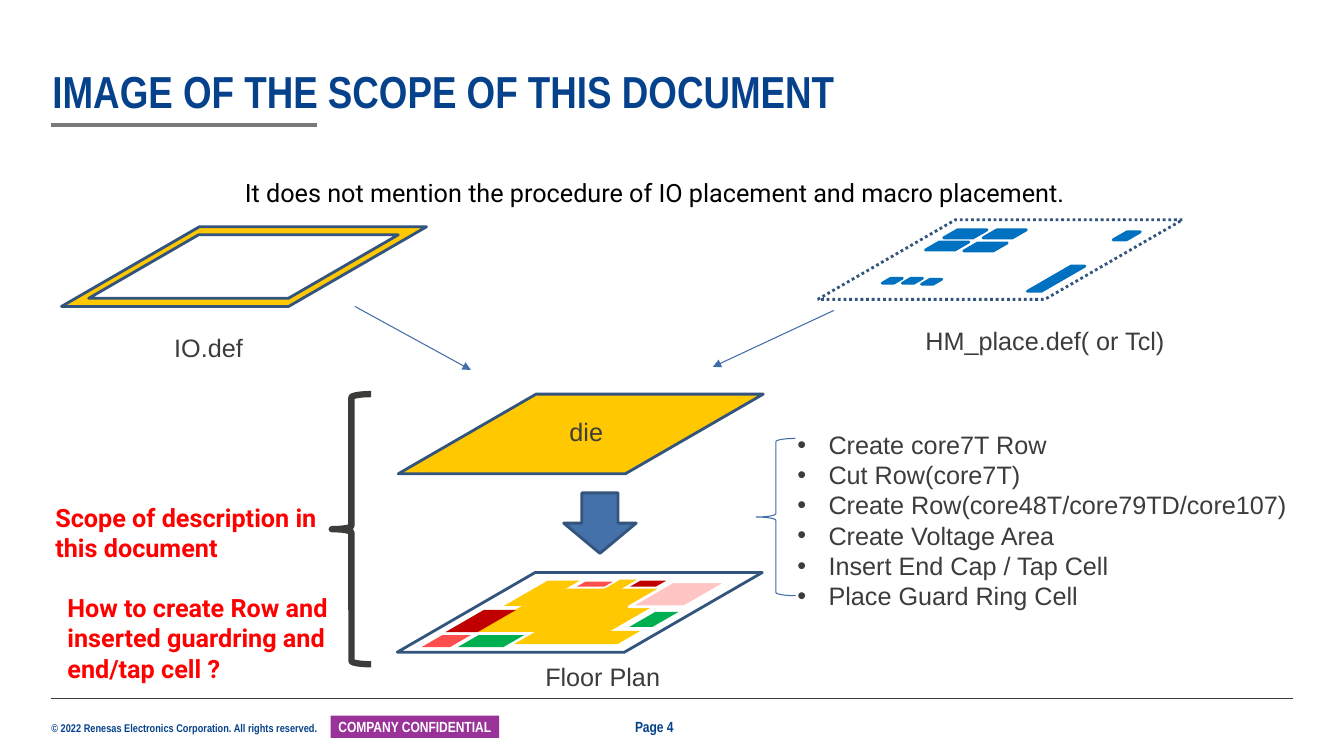
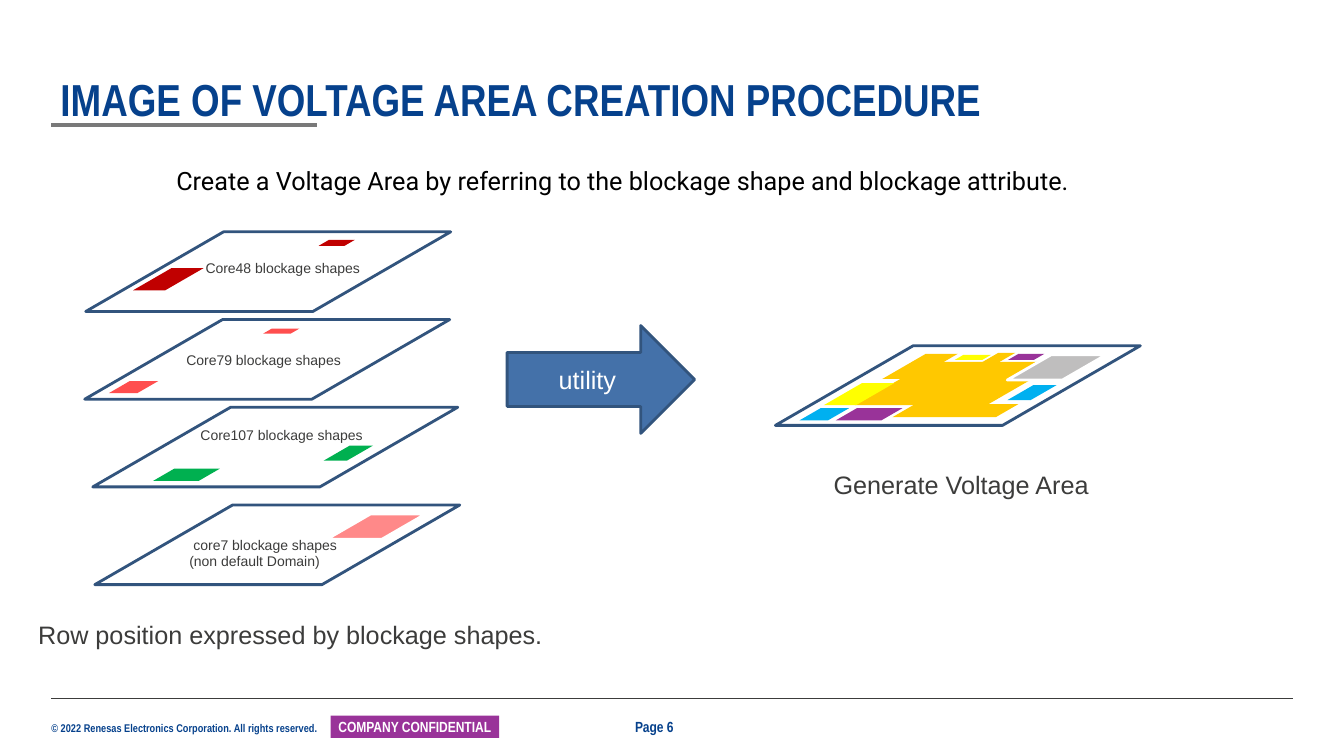
from lxml.etree import SubElement
from pptx import Presentation
from pptx.dml.color import RGBColor
from pptx.enum.dml import MSO_LINE
from pptx.enum.shapes import MSO_CONNECTOR, MSO_SHAPE as SHAPE
from pptx.enum.text import MSO_ANCHOR as ANCHOR, PP_ALIGN as ALIGN
from pptx.oxml.ns import qn
from pptx.util import Inches, Pt

NAVY, TEXT, PURPLE, WHITE = "06418C", "3C3C3B", "993399", "FFFFFF"
OUTLINE, ARROW_FILL, THIN_BLUE = "32547D", "4471A9", "406EA8"
GOLD, MACRO_BLUE, RED = "FFC800", "0070C0", "FF0000"
DARK_RED, CORAL, GREEN, PINK, ROSE = "C00000", "FF4E4E", "00B050", "FFC4C4", "FF8989"
YELLOW, CYAN, GREY = "FFFF00", "00B0F0", "BFBEBE"
BODY, NARROW, ROBOTO = "Arial", "Arial Narrow", "Roboto"
SLANT = 1.73
DIE_SIZE = (3.62, 0.79)


def rgb(value):
    return RGBColor.from_string(value)


class Deck:
    """Holds the shared style and the current slide."""

    def __init__(self):
        self.presentation = Presentation()
        self.presentation.slide_width = Inches(13.33)
        self.presentation.slide_height = Inches(7.5)
        self.slide = None

    def new_slide(self, page):
        self.slide = self.presentation.slides.add_slide(
            self.presentation.slide_layouts[6])
        # Footer and title rule
        self.text(["© 2022 Renesas Electronics Corporation. All rights reserved."],
                  0.51, 7.16, 2.85, 0.13, 8, NARROW, NAVY, bold=True, margin=0)
        self.line((0.51, 6.93), (12.82, 6.93), TEXT, 0.5)
        label = self.shape(SHAPE.RECTANGLE, 3.28, 7.1, 1.67, 0.22, PURPLE)
        self.set_text(label, ["COMPANY CONFIDENTIAL"], 10.5, NARROW, WHITE, bold=True,
                      align=ALIGN.CENTER, anchor=ANCHOR.MIDDLE, margin=0)
        self.line((0.51, 1.24), (3.14, 1.24), "797979", 3)
        self.text([f"Page {page}"], 6.2, 7.07, 0.8, 0.28, 10.5, NARROW, NAVY, bold=True)

    def title(self, words, left, top):
        frame = self.text([words], left, top, 12.3, 0.48, 32, NARROW, NAVY,
                          bold=True, anchor=ANCHOR.BOTTOM, margin=0)
        frame.paragraphs[0].line_spacing = 0.9

    def set_text(self, shape, lines, size, font, color, bold=False, align=ALIGN.LEFT,
                 anchor=ANCHOR.TOP, margin=None, bullet=False):
        frame = shape.text_frame
        frame.word_wrap = True
        frame.vertical_anchor = anchor
        if margin is not None:
            frame.margin_left = frame.margin_right = Inches(margin)
            frame.margin_top = frame.margin_bottom = Inches(margin)
        for index, words in enumerate(lines):
            paragraph = frame.paragraphs[0] if index == 0 else frame.add_paragraph()
            paragraph.text = words
            paragraph.alignment = align
            if bullet:
                self.indent(paragraph, 0.31, -0.31)
                SubElement(paragraph._p.pPr, qn("a:buFont"), typeface=BODY)
                SubElement(paragraph._p.pPr, qn("a:buChar"), char="•")
            paragraph.font.size = Pt(size)
            paragraph.font.name = font
            paragraph.font.bold = bold
            paragraph.font.color.rgb = rgb(color)
        return frame

    def text(self, lines, left, top, width, height, size=18, font=BODY, color=TEXT,
             **style):
        box = self.slide.shapes.add_textbox(
            Inches(left), Inches(top), Inches(width), Inches(height))
        return self.set_text(box, lines, size, font, color, **style)

    def indent(self, paragraph, left, first=0):
        properties = paragraph._p.get_or_add_pPr()
        properties.set("marL", str(Inches(left)))
        properties.set("indent", str(Inches(first)))

    def shape(self, kind, left, top, width, height, fill=None, line=None, weight=2):
        shape = self.slide.shapes.add_shape(
            kind, Inches(left), Inches(top), Inches(width), Inches(height))
        shape.shadow.inherit = False
        if fill:
            shape.fill.solid()
            shape.fill.fore_color.rgb = rgb(fill)
        else:
            shape.fill.background()
        if line:
            shape.line.color.rgb = rgb(line)
            shape.line.width = Pt(weight)
        else:
            shape.line.fill.background()
        return shape

    def sheet(self, left, top, width, height, fill=None, line=None):
        shape = self.shape(SHAPE.PARALLELOGRAM, left, top, width, height, fill, line)
        shape.adjustments[0] = SLANT
        return shape

    def die(self, left, top, fill=None):
        return self.sheet(left, top, *DIE_SIZE, fill, OUTLINE)

    def line(self, start, end, color, weight, arrow=False):
        connector = self.slide.shapes.add_connector(
            MSO_CONNECTOR.STRAIGHT, *(Inches(value) for value in start + end))
        connector.line.color.rgb = rgb(color)
        connector.line.width = Pt(weight)
        if arrow:
            SubElement(connector.line._get_or_add_ln(), qn("a:tailEnd"), type="triangle")
        SubElement(connector._element.spPr, qn("a:effectLst"))

    def floor_plan(self, left, top, default_area, areas):
        """Draw the die with its gold core and the coloured voltage areas."""
        self.die(left, top)
        parts = [
            (0.79, 0.16, 2.05, 0.43, GOLD, None),
            (1.06, 0.08, 0.75, 0.25, GOLD, None),
            (1.16, 0.58, 1.25, 0.13, GOLD, None),
            (2.3, 0.09, 0.98, 0.25, default_area, WHITE),
            (1.78, 0.07, 0.6, 0.25, GOLD, None),
        ]
        places = [(0.48, 0.37, 0.7, 0.22), (2.31, 0.08, 0.36, 0.06),
                  (1.78, 0.09, 0.36, 0.05), (0.24, 0.62, 0.49, 0.12),
                  (0.6, 0.62, 0.66, 0.12), (2.3, 0.39, 0.49, 0.15)]
        parts += [(*place, fill, None) for place, fill in zip(places, areas)]
        for x, y, width, height, fill, line in parts:
            self.sheet(left + x, top + y, width, height, fill, line)


def scope_slide(deck):
    deck.new_slide(4)
    deck.title("IMAGE OF THE SCOPE OF THIS DOCUMENT", 0.52, 0.69)
    deck.text(["It does not mention the procedure of IO placement and macro placement."],
              2.33, 1.71, 8.6, 0.4, font=ROBOTO, color="000000")

    # Inputs: IO ring and macro placement
    deck.die(0.61, 2.25, GOLD)
    deck.sheet(0.88, 2.33, 3.07, 0.63, WHITE, OUTLINE)
    deck.text(["IO.def"], 1.63, 3.25, 1, 0.4)
    macros = [
        (9.18, 2.4, 0.43, 0.08), (9.36, 2.28, 0.43, 0.08), (9.56, 2.41, 0.43, 0.08),
        (9.75, 2.28, 0.43, 0.08), (10.19, 2.64, 0.57, 0.25), (11.04, 2.3, 0.27, 0.08),
        (8.75, 2.76, 0.2, 0.05), (8.95, 2.76, 0.2, 0.05), (9.14, 2.77, 0.2, 0.05),
    ]
    for macro in macros:
        deck.sheet(*macro, MACRO_BLUE, MACRO_BLUE)
    deck.die(8.11, 2.18).line.dash_style = MSO_LINE.ROUND_DOT
    deck.text(["HM_place.def( or Tcl)"], 9.08, 3.18, 2.75, 0.4)
    deck.line((3.52, 3.04), (4.67, 3.67), THIN_BLUE, 0.75, arrow=True)
    deck.line((8.27, 3.08), (7.07, 3.64), THIN_BLUE, 0.75, arrow=True)

    # Die turned into a floor plan
    deck.die(3.95, 3.91, GOLD)
    deck.text(["die"], 5.55, 4.08, 0.7, 0.4)
    deck.shape(SHAPE.DOWN_ARROW, 5.59, 4.89, 0.72, 0.6, ARROW_FILL, OUTLINE)
    deck.floor_plan(3.94, 5.68, PINK,
                    [DARK_RED, DARK_RED, CORAL, CORAL, GREEN, GREEN])
    deck.text(["Floor Plan"], 5.31, 6.51, 1.5, 0.4)

    # Scope and its steps
    deck.shape(SHAPE.LEFT_BRACE, 3.29, 3.91, 0.39, 2.68, line=TEXT, weight=4.5)
    scope = deck.text(
        ["Scope of description in", "this document", "How to create Row and",
         "inserted guardring and", "end/tap cell ?"],
        0.45, 4.93, 3.01, 1.92, font=ROBOTO, color=RED, bold=True)
    for paragraph in scope.paragraphs[2:]:
        deck.indent(paragraph, 0.12)
    scope.paragraphs[2].space_before = Pt(21.5)
    deck.shape(SHAPE.LEFT_BRACE, 7.5, 4.35, 0.39, 1.56, line=THIN_BLUE, weight=0.75)
    deck.text(["Create core7T Row", "Cut Row(core7T)",
               "Create Row(core48T/core79TD/core107)", "Create Voltage Area",
               "Insert End Cap / Tap Cell", "Place Guard Ring Cell"],
              7.81, 4.21, 5.3, 1.92, bullet=True)


def voltage_area_slide(deck):
    deck.new_slide(6)
    deck.title("IMAGE OF VOLTAGE AREA CREATION PROCEDURE", 0.6, 0.77)
    deck.text(["Create a Voltage Area by referring to the blockage shape "
               "and blockage attribute."],
              1.65, 1.59, 9.92, 0.4, font=ROBOTO, color="000000")

    # Blockage layers: die position, then blockages
    layers = [
        (0.85, 2.3, DARK_RED, [(1.32, 2.66, 0.7, 0.22), (3.16, 2.38, 0.36, 0.06)]),
        (0.84, 3.17, CORAL, [(2.61, 3.26, 0.36, 0.05), (1.08, 3.78, 0.49, 0.12)]),
        (0.92, 4.04, GREEN, [(1.52, 4.65, 0.66, 0.12), (3.21, 4.42, 0.49, 0.15)]),
        (0.94, 5.01, ROSE, [(3.24, 5.1, 0.98, 0.25)]),
    ]
    for left, top, fill, blockages in layers:
        deck.die(left, top)
        for blockage in blockages:
            deck.sheet(*blockage, fill, WHITE if fill == ROSE else None)
    for core, left, top in [("Core48", 1.94, 2.53), ("Core79", 1.75, 3.44),
                            ("Core107", 1.89, 4.18)]:
        deck.text([f"{core} blockage shapes"], left, top, 1.9, 0.27, 10)
    default_label = deck.text(["core7 blockage shapes", "(non default Domain)"],
                              1.78, 5.27, 1.8, 0.44, 10)
    deck.indent(default_label.paragraphs[0], 0.04)
    deck.text(["Row position expressed by blockage shapes."], 0.28, 6.09, 5.4, 0.4)

    # Utility and its result
    arrow = deck.shape(SHAPE.RIGHT_ARROW, 5.03, 3.23, 1.86, 1.07, ARROW_FILL, OUTLINE)
    deck.set_text(arrow, ["utility"], 18, BODY, WHITE,
                  align=ALIGN.CENTER, anchor=ANCHOR.MIDDLE)
    deck.floor_plan(7.69, 3.43, GREY,
                    [YELLOW, PURPLE, YELLOW, CYAN, PURPLE, CYAN])
    deck.text(["Generate Voltage Area"], 8.17, 4.61, 2.9, 0.4)


def main():
    deck = Deck()
    scope_slide(deck)
    voltage_area_slide(deck)
    deck.presentation.save("out.pptx")


if __name__ == "__main__":
    main()
